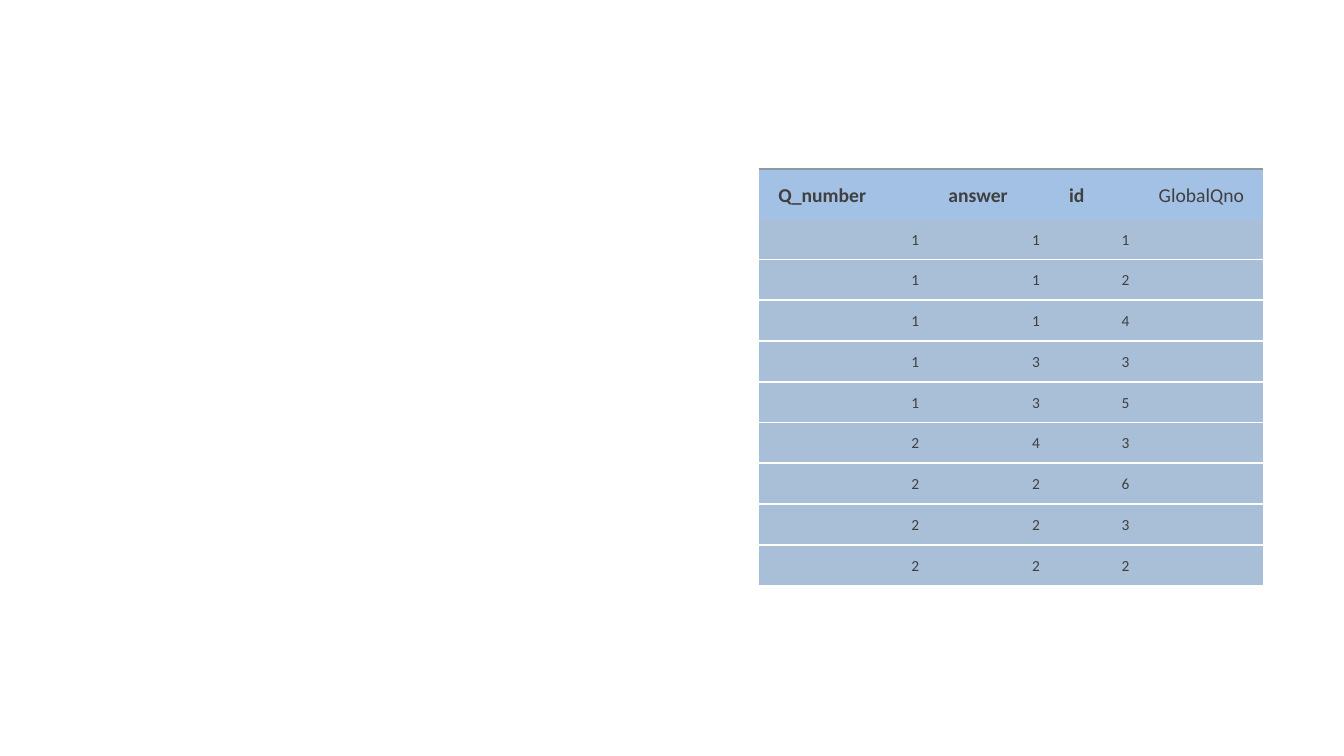
from lxml.etree import SubElement
from pptx import Presentation
from pptx.dml.color import RGBColor
from pptx.enum.text import MSO_ANCHOR, PP_ALIGN
from pptx.oxml.ns import qn
from pptx.util import Inches, Pt

HEADINGS = ["Q_number", "answer", "id", "GlobalQno"]
ANSWERS = [
    (1, 1, 1), (1, 1, 2), (1, 1, 4), (1, 3, 3), (1, 3, 5),
    (2, 4, 3), (2, 2, 6), (2, 2, 3), (2, 2, 2),
]
COLUMN_WIDTHS = [1.69, 1.2, 0.89, 1.23]
HEADER_HEIGHT = 0.49
PLAIN_STYLE = "{2D5ABB26-0587-4C30-8999-92F81FD0307C}"


def color(value):
    """Turn a hex string into a colour."""
    return RGBColor.from_string(value)


def add_border(cell, side, value):
    """Draw one edge of a cell; call it before the cell gets its fill."""
    line = SubElement(cell._tc.get_or_add_tcPr(), qn(f"a:{side}"), w=str(Pt(1.5)))
    fill = SubElement(line, qn("a:solidFill"))
    SubElement(fill, qn("a:srgbClr"), val=value)


def fill_cell(cell, text, size, fill, inset, bold=False, align=PP_ALIGN.LEFT):
    """Set the text, margins and fill of a cell."""
    cell.text = text
    cell.vertical_anchor = MSO_ANCHOR.BOTTOM
    cell.margin_left = Inches(0.19)
    cell.margin_top = cell.margin_right = cell.margin_bottom = Inches(inset)
    para = cell.text_frame.paragraphs[0]
    para.alignment = align
    para.font.name = "Calibri"
    para.font.size = Pt(size)
    para.font.bold = bold
    para.font.color.rgb = color("404040")
    cell.fill.solid()
    cell.fill.fore_color.rgb = color(fill)


def add_answer_table(page, left, top, width, height):
    """Place the table of answers in the given box."""
    frame = page.shapes.add_table(
        len(ANSWERS) + 1, len(HEADINGS),
        Inches(left), Inches(top), Inches(width), Inches(height))
    table = frame.table
    table.horz_banding = False
    table._tbl.tblPr.find(qn("a:tableStyleId")).text = PLAIN_STYLE
    for column, share in zip(table.columns, COLUMN_WIDTHS):
        column.width = Inches(width * share / sum(COLUMN_WIDTHS))
    for row in table.rows:
        row.height = Inches((height - HEADER_HEIGHT) / len(ANSWERS))
    table.rows[0].height = Inches(HEADER_HEIGHT)

    for index, heading in enumerate(HEADINGS):
        cell = table.cell(0, index)
        add_border(cell, "lnT", "8F9A9D")
        fill_cell(cell, heading, 14, "A3C0E5", 0.11, bold=heading != "GlobalQno")

    for number, answer in enumerate(ANSWERS, start=1):
        for index, value in enumerate([*answer, ""]):
            cell = table.cell(number, index)
            if number > 1:
                add_border(cell, "lnT", "FFFFFF")
            add_border(cell, "lnB", "FFFFFF")
            fill_cell(cell, str(value), 11, "A9BED7", 0.1, align=PP_ALIGN.RIGHT)


def main():
    """Build the deck and save it."""
    deck = Presentation()
    deck.slide_width = Inches(13.33)
    deck.slide_height = Inches(7.5)
    page = deck.slides.add_slide(deck.slide_layouts[6])
    add_answer_table(page, 7.53, 1.68, 5, 4.13)
    deck.save("out.pptx")


if __name__ == "__main__":
    main()
